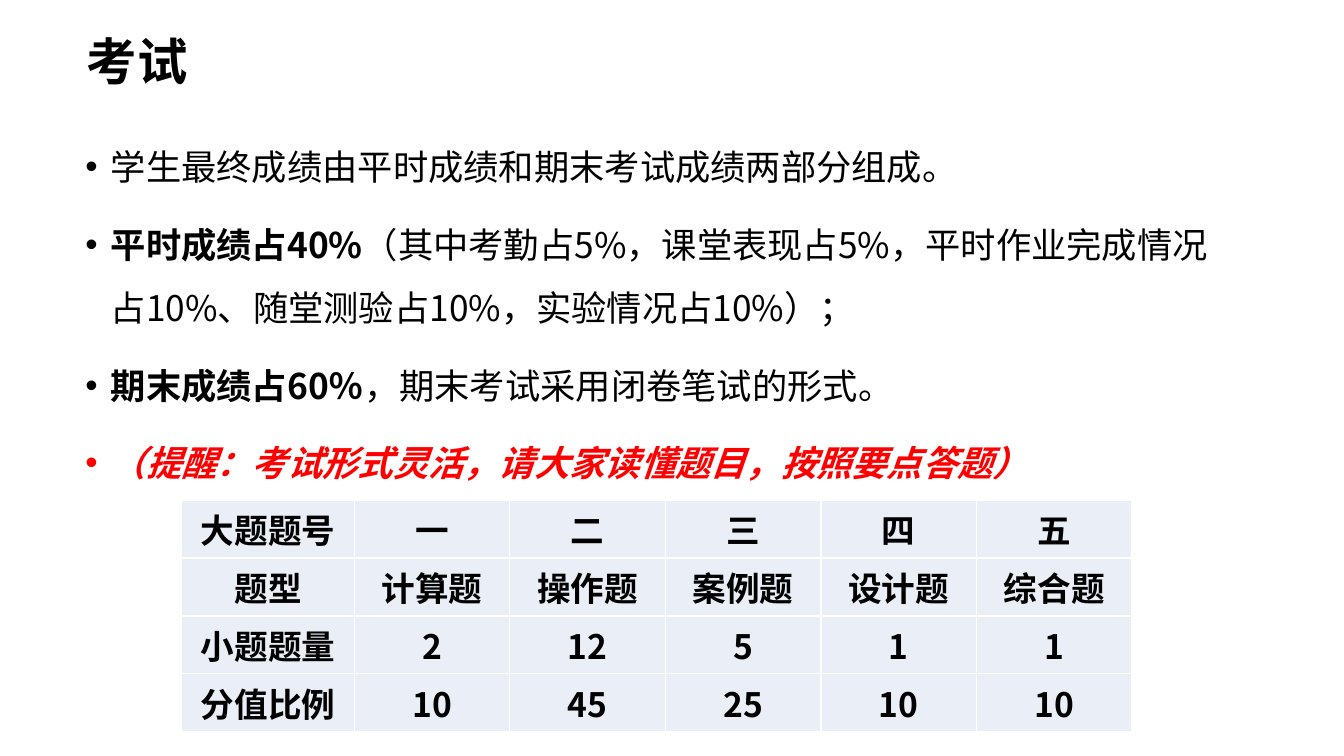
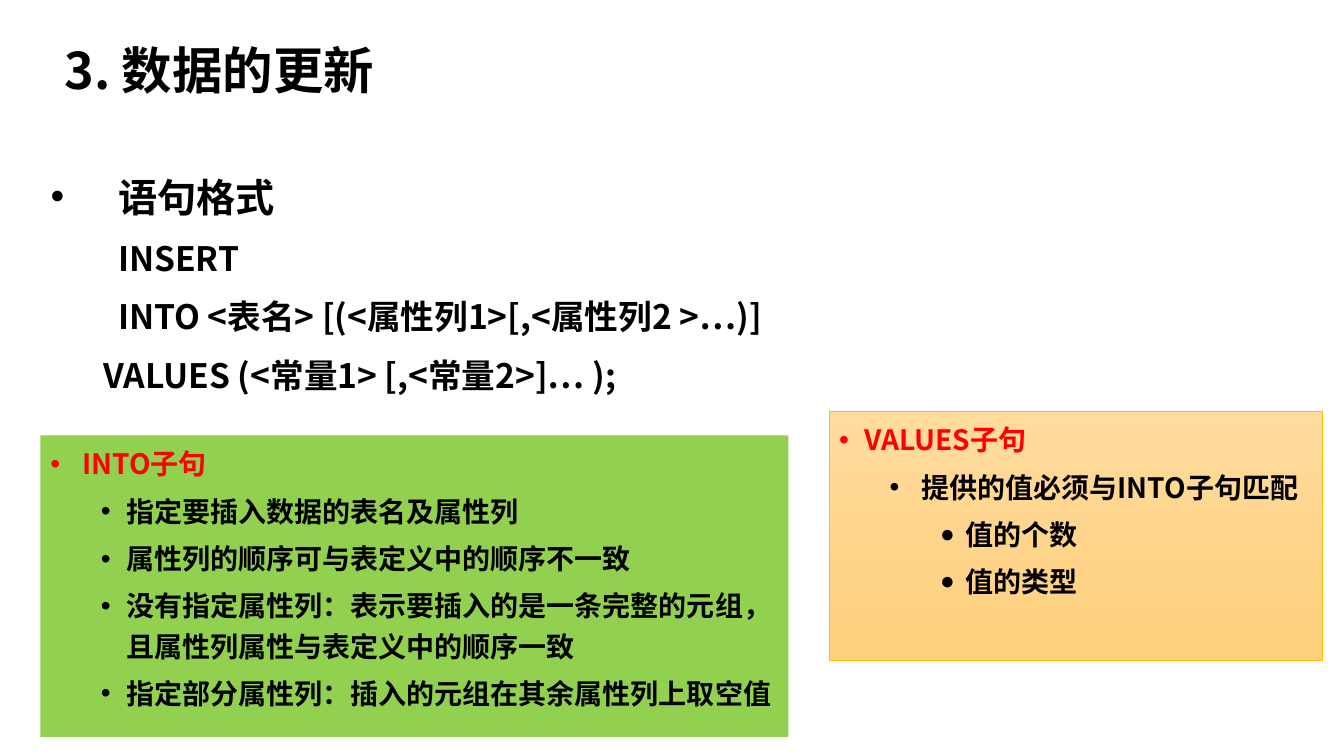
from lxml import etree
from pptx import Presentation
from pptx.dml.color import RGBColor
from pptx.enum.shapes import MSO_SHAPE
from pptx.enum.text import MSO_ANCHOR, MSO_AUTO_SIZE, PP_ALIGN
from pptx.oxml.ns import qn
from pptx.util import Cm, Pt

LEFT, CENTER = PP_ALIGN.LEFT, PP_ALIGN.CENTER
TOP, MIDDLE = MSO_ANCHOR.TOP, MSO_ANCHOR.MIDDLE
NO_AUTOFIT = MSO_AUTO_SIZE.NONE
RECTANGLE = MSO_SHAPE.RECTANGLE
TITLE_AND_CONTENT = 1

FONT = "Noto Sans CJK SC"
BLACK, RED, WHITE = "000000", "FF0000", "FFFFFF"
TABLE_FILL, GREEN, GOLD = "EAEFF7", "92D050", "FFC000"
ORANGE_TOP, ORANGE_BOTTOM = "FFDB9E", "FFD07C"

STEP = 0.64  # hanging indent of a bullet, in cm


def rgb(value):
    return RGBColor.from_string(value)


def add_run(paragraph, text, size, color=BLACK, bold=False, italic=False):
    run = paragraph.add_run()
    run.text = text
    font = run.font
    font.name, font.size, font.bold, font.italic = FONT, Pt(size), bold, italic
    font.color.rgb = rgb(color)
    east_asian = etree.SubElement(font._element, qn("a:ea"))
    east_asian.set("typeface", FONT)


def set_bullet(paragraph, character, percent):
    properties = paragraph._p.get_or_add_pPr()
    if character is None:
        etree.SubElement(properties, qn("a:buNone"))
        return
    etree.SubElement(properties, qn("a:buSzPct")).set("val", str(percent * 1000))
    etree.SubElement(properties, qn("a:buFont")).set("typeface", "Arial")
    etree.SubElement(properties, qn("a:buChar")).set("char", character)


def add_item(frame, runs, size, line_spacing, left=STEP, hanging=STEP,
             before=10, level=0, bullet="•", percent=100):
    """Add one list paragraph; runs holds (text, run format) pairs."""
    paragraph = frame.paragraphs[0]
    if paragraph.runs:
        paragraph = frame.add_paragraph()
    paragraph.level = level
    paragraph.alignment = LEFT
    paragraph.line_spacing = line_spacing
    paragraph.space_before, paragraph.space_after = Pt(before), Pt(0)
    properties = paragraph._p.get_or_add_pPr()
    properties.set("marL", str(Cm(left)))
    properties.set("indent", str(-Cm(hanging)))
    set_bullet(paragraph, bullet, percent)
    for text, style in runs:
        add_run(paragraph, text, size, **style)


def place(shape, box):
    shape.left, shape.top, shape.width, shape.height = map(Cm, box)


def prepare_frame(shape, anchor):
    frame = shape.text_frame
    frame.word_wrap = True
    frame.auto_size = NO_AUTOFIT
    frame.vertical_anchor = anchor
    return frame


def add_titled_slide(presentation, title, title_box, body_box):
    """Return the new slide and the text frame of its body."""
    layout = presentation.slide_layouts[TITLE_AND_CONTENT]
    slide = presentation.slides.add_slide(layout)
    heading, body = slide.shapes.title, slide.placeholders[1]
    place(heading, title_box)
    place(body, body_box)
    paragraph = prepare_frame(heading, MIDDLE).paragraphs[0]
    paragraph.alignment = LEFT
    paragraph.line_spacing = 0.9
    add_run(paragraph, title, 36, bold=True)
    return slide, prepare_frame(body, TOP)


def add_cell_borders(cell, color):
    properties = cell._tc.get_or_add_tcPr()
    for side in ("lnL", "lnR", "lnT", "lnB"):
        line = etree.SubElement(properties, qn(f"a:{side}"), w=str(Pt(1)))
        fill = etree.SubElement(line, qn("a:solidFill"))
        etree.SubElement(fill, qn("a:srgbClr"), val=color)


def add_score_table(slide, box, rows, first_width):
    left, top, width, height = map(Cm, box)
    column_count = len(rows[0])
    table = slide.shapes.add_table(
        len(rows), column_count, left, top, width, height).table
    table.first_row = table.horz_banding = False
    other_width = (width - Cm(first_width)) // (column_count - 1)
    for index, column in enumerate(table.columns):
        column.width = other_width if index else Cm(first_width)
    for row_index, row in enumerate(rows):
        for column_index, text in enumerate(row):
            cell = table.cell(row_index, column_index)
            add_cell_borders(cell, WHITE)
            cell.fill.solid()
            cell.fill.fore_color.rgb = rgb(TABLE_FILL)
            cell.vertical_anchor = MIDDLE
            cell.margin_left = cell.margin_right = Cm(0.18)
            cell.margin_top = cell.margin_bottom = 0
            paragraph = cell.text_frame.paragraphs[0]
            paragraph.alignment = CENTER
            add_run(paragraph, text, 24, bold=True)


def add_clause_panel(slide, box, heading, items):
    """Add a rectangle with a red heading; items holds (level, text) pairs."""
    panel = slide.shapes.add_shape(RECTANGLE, *map(Cm, box))
    panel.shadow.inherit = False
    frame = prepare_frame(panel, TOP)
    add_item(frame, [(heading, {"bold": True, "color": RED})], 20, 1.2)
    for level, text in items:
        marker = {"bullet": "●", "percent": 87} if level == 2 else {}
        add_item(frame, [(text, {"bold": True})], 20, 1.2, before=5,
                 left=STEP + level * 1.27, level=level, **marker)
    return panel


def build_exam_slide(presentation):
    slide, frame = add_titled_slide(
        presentation, "考试", (1.93, 0.25, 29.2, 2.75), (1.9, 3, 29.2, 9.55))
    bold = {"bold": True}
    reminder = {"bold": True, "italic": True, "color": RED}
    items = [
        [("学生最终成绩由平时成绩和期末考试成绩两部分组成。", {})],
        [("平时成绩占40%", bold),
         ("（其中考勤占5%，课堂表现占5%，平时作业完成情况占10%、"
          "随堂测验占10%，实验情况占10%）；", {})],
        [("期末成绩占60％", bold), ("，期末考试采用闭卷笔试的形式。", {})],
        [("（提醒：考试形式灵活，请大家读懂题目，按照要点答题）", reminder)],
    ]
    for runs in items:
        add_item(frame, runs, 25.2, 1.5)
    rows = [
        ("大题题号", "一", "二", "三", "四", "五"),
        ("题型", "计算题", "操作题", "案例题", "设计题", "综合题"),
        ("小题题量", "2", "12", "5", "1", "1"),
        ("分值比例", "10", "45", "25", "10", "10"),
    ]
    add_score_table(slide, (4.58, 12.6, 23.95, 5.84), rows, 4.35)


def build_update_slide(presentation):
    slide, frame = add_titled_slide(
        presentation, "3. 数据的更新",
        (1.37, 0.48, 29.2, 2.75), (1.02, 4.11, 32.1, 6.25))
    bold = {"bold": True}
    add_item(frame, [("语句格式", bold)], 28, 1.1, left=1.7, hanging=1.7)
    syntax = [
        ("INSERT", 1.7),
        ("INTO <表名> [(<属性列1>[,<属性列2 >…)]", 1.7),
        ("VALUES (<常量1> [,<常量2>]… );", 1.34),
    ]
    for text, left in syntax:
        add_item(frame, [(text, bold)], 24, 1.1, left=left, hanging=0,
                 bullet=None)

    into_panel = add_clause_panel(
        slide, (1.02, 10.97, 18.85, 7.6), " INTO子句",
        [(1, "指定要插入数据的表名及属性列"),
         (1, "属性列的顺序可与表定义中的顺序不一致"),
         (1, "没有指定属性列：表示要插入的是一条完整的元组，"
             "且属性列属性与表定义中的顺序一致"),
         (1, "指定部分属性列：插入的元组在其余属性列上取空值")])
    into_panel.fill.solid()
    into_panel.fill.fore_color.rgb = rgb(GREEN)
    into_panel.line.fill.background()

    values_panel = add_clause_panel(
        slide, (20.9, 10.36, 12.42, 6.27), "VALUES子句",
        [(1, " 提供的值必须与INTO子句匹配"),
         (2, "值的个数"),
         (2, "值的类型")])
    values_panel.fill.gradient()
    values_panel.fill.gradient_angle = 270
    for stop, color in zip(values_panel.fill.gradient_stops,
                           (ORANGE_TOP, ORANGE_BOTTOM)):
        stop.color.rgb = rgb(color)
    values_panel.line.color.rgb = rgb(GOLD)
    values_panel.line.width = Pt(0.5)


def main():
    presentation = Presentation()
    presentation.slide_width = Cm(33.87)
    presentation.slide_height = Cm(19.05)
    build_exam_slide(presentation)
    build_update_slide(presentation)
    presentation.save("out.pptx")


if __name__ == "__main__":
    main()
